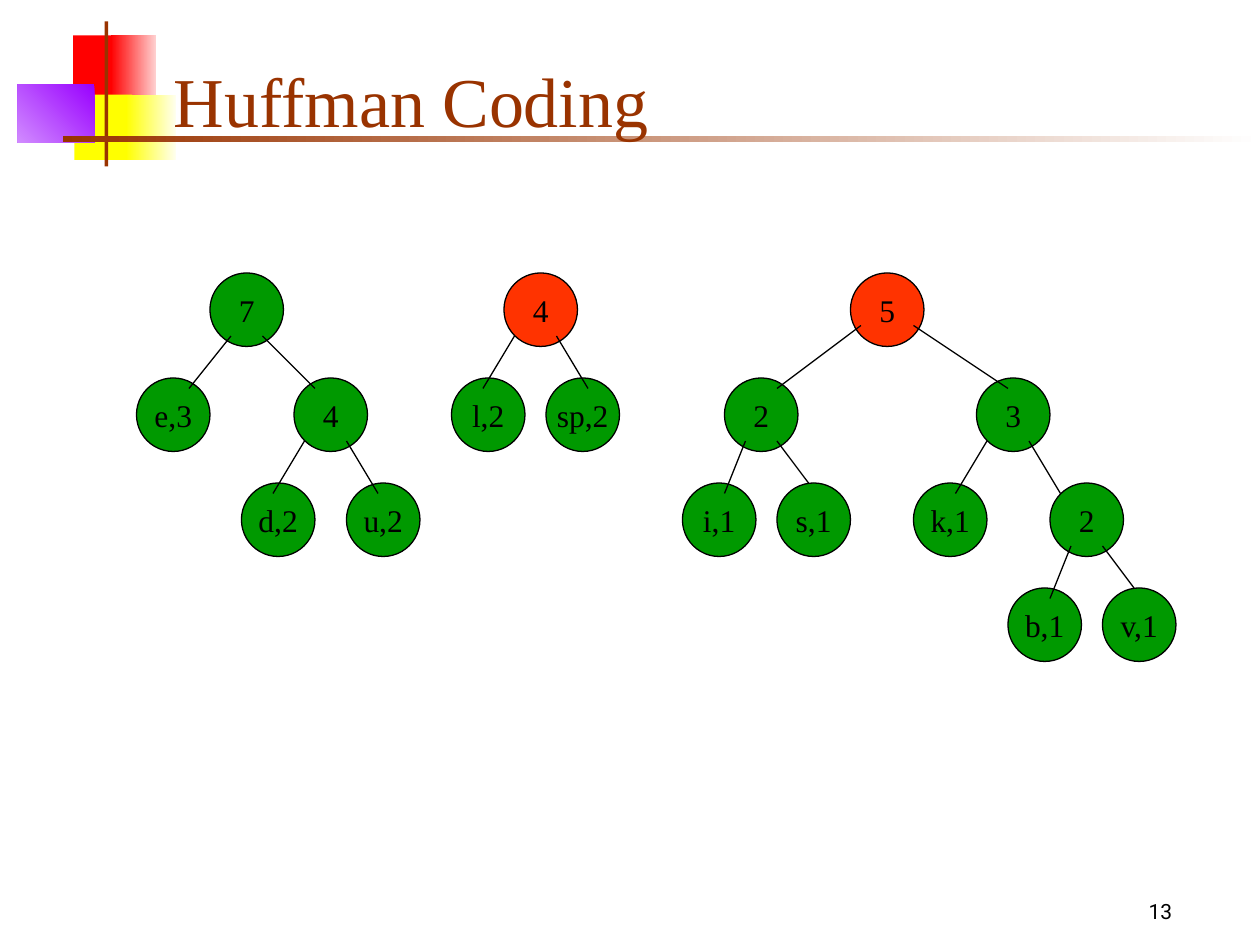
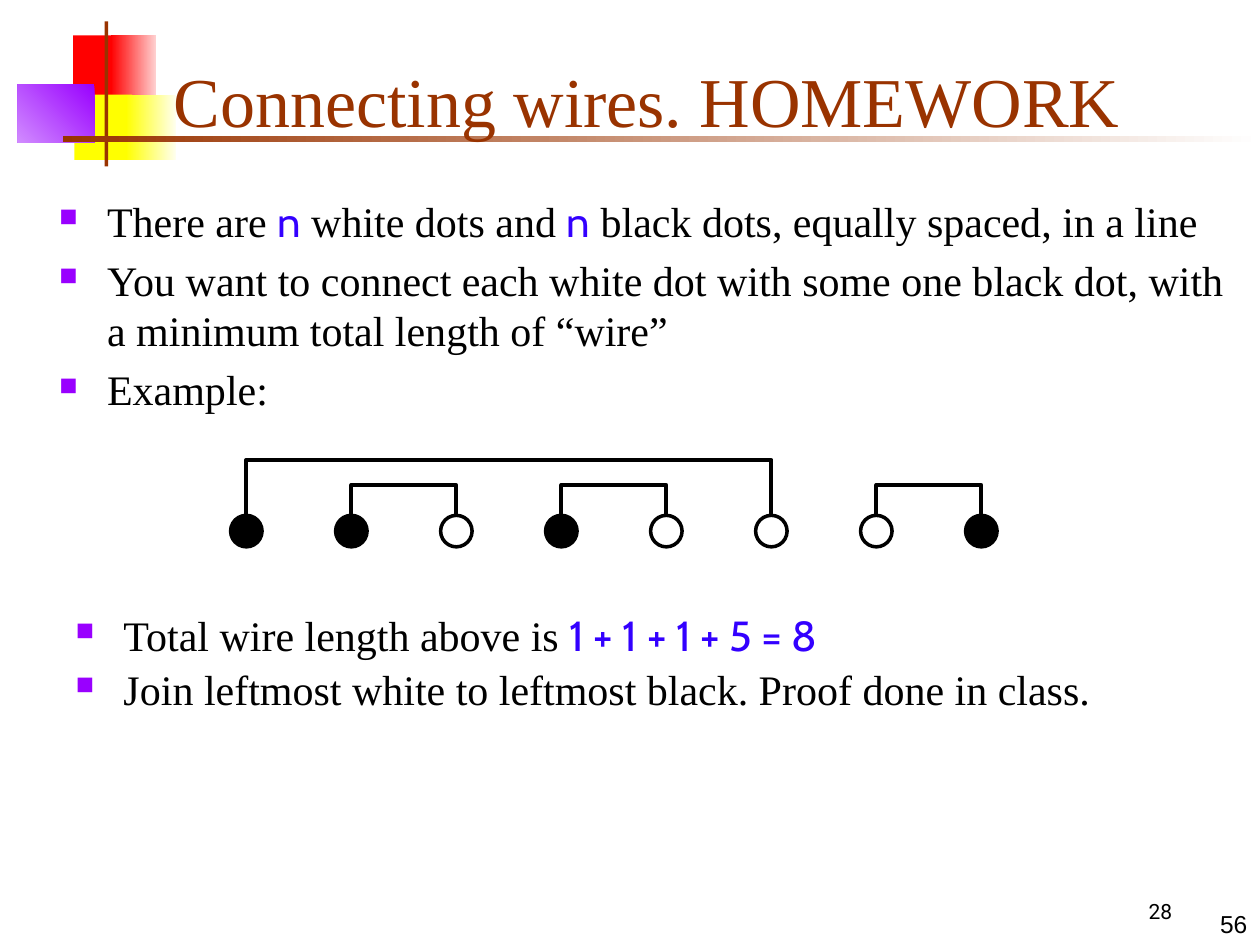
"""Build two algorithm slides: a Huffman forest and a wire-connecting exercise."""
from dataclasses import dataclass

from lxml import etree
from pptx import Presentation, util as u
from pptx.dml.color import RGBColor
from pptx.enum import shapes, text
from pptx.oxml.ns import qn
from pptx.slide import Slide


@dataclass(frozen=True)
class Theme:
    brown: str = "993300"
    purple: str = "9900FF"
    blue: str = "3300FF"
    green: str = "009900"
    orange: str = "FF3300"
    black: str = "000000"
    white: str = "FFFFFF"
    serif: str = "Times New Roman"
    math: str = "Cabin"
    number: str = "Roboto"
    sans: str = "Arial"
    title_pt: float = 40
    body_pt: float = 24
    node_pt: float = 18
    corner_pt: float = 14
    number_pt: float = 12


@dataclass(frozen=True)
class Block:
    left: float
    top: float
    width: float
    height: float
    color: str
    end_color: str = ""
    angle: float = 180


@dataclass(frozen=True)
class Node:
    label: str
    column: int
    level: int
    color: str


@dataclass(frozen=True)
class Edge:
    x1: int
    y1: int
    x2: int
    y2: int


@dataclass(frozen=True)
class Wire:
    first: int
    last: int
    top: float


T = Theme()
MARGIN = u.Inches(0.05)
GRID = 12
NODE_SIZE, FIRST_ROW, ROW_STEP = 7, 26, 10
DOT_SIZE, DOT_TOP, DOT_START, DOT_STEP, WIRE_END = 0.25, 4.09, 1.83, 10 / GRID, 4.08

BLOCKS = [
    Block(0.58, 0.28, 0.35, 0.52, "FF0000"),
    Block(0.88, 0.28, 0.36, 0.52, "FFD1D1", "FF0000"),
    Block(0.59, 0.75, 0.46, 0.52, "FFFF00"),
    Block(1, 0.75, 0.4, 0.52, "FFFFF0", "FFFF00"),
    Block(0.14, 0.67, 0.61, 0.46, T.purple, "D18BFF", 225),
    Block(0.83, 0.17, 0.03, 1.15, T.brown),
    Block(0.5, 1.08, 9.5, 0.05, T.white, T.brown),
]
NODES = [
    Node("7", 20, 0, T.green), Node("e,3", 13, 1, T.green), Node("4", 28, 1, T.green),
    Node("d,2", 23, 2, T.green), Node("u,2", 33, 2, T.green),
    Node("4", 48, 0, T.orange), Node("l,2", 43, 1, T.green), Node("sp,2", 52, 1, T.green),
    Node("5", 81, 0, T.orange), Node("2", 69, 1, T.green), Node("3", 93, 1, T.green),
    Node("i,1", 65, 2, T.green), Node("s,1", 74, 2, T.green),
    Node("k,1", 87, 2, T.green), Node("2", 100, 2, T.green),
    Node("b,1", 96, 3, T.green), Node("v,1", 105, 3, T.green),
]
EDGES = [
    Edge(22, 32, 18, 37), Edge(25, 32, 30, 37), Edge(29, 42, 26, 47), Edge(33, 42, 36, 47),
    Edge(49, 32, 46, 37), Edge(53, 32, 56, 37),
    Edge(82, 31, 74, 37), Edge(87, 31, 96, 37), Edge(71, 42, 69, 47), Edge(74, 42, 77, 46),
    Edge(94, 42, 91, 47), Edge(98, 42, 101, 47), Edge(102, 52, 100, 57), Edge(105, 52, 108, 56),
]
DOTS = [T.black, T.black, T.white, T.black, T.white, T.white, T.white, T.black]
WIRES = [Wire(6, 7, 3.85), Wire(1, 2, 3.85), Wire(3, 4, 3.85), Wire(0, 5, 3.65)]
PROBLEM = [
    [("There are ", False), ("n", True), (" white dots and ", False), ("n", True),
     (" black dots, equally spaced, in a line", False)],
    [("You want to connect each white dot with some one black dot, "
      "with a minimum total length of “wire”", False)],
    [("Example:", False)],
]
ANSWER = [
    [("Total wire length above is ", False), ("1 + 1 + 1 + 5 = 8", True)],
    [("Join leftmost white to leftmost black. Proof done in class.", False)],
]


def rgb(color: str) -> RGBColor:
    return RGBColor.from_string(color)


def write(p, content: str, *, size: float, font: str = T.serif, color: str = T.black,
          align=text.PP_ALIGN.LEFT) -> None:
    p.alignment = align
    r = p.add_run()
    r.text = content
    r.font.size, r.font.name = u.Pt(size), font
    r.font.color.rgb = rgb(color)


def set_frame(tf, anchor=text.MSO_ANCHOR.TOP, wrap: bool = True, margin=MARGIN) -> None:
    tf.margin_left = tf.margin_right = tf.margin_top = tf.margin_bottom = margin
    tf.vertical_anchor, tf.word_wrap = anchor, wrap
    tf.auto_size = text.MSO_AUTO_SIZE.NONE


def add_box(s: Slide, left: float, top: float, width: float, height: float, **frame):
    box = s.shapes.add_textbox(u.Inches(left), u.Inches(top), u.Inches(width), u.Inches(height))
    set_frame(box.text_frame, **frame)
    return box.text_frame


def add_block(s: Slide, block: Block) -> None:
    sp = s.shapes.add_shape(shapes.MSO_SHAPE.RECTANGLE, u.Inches(block.left), u.Inches(block.top),
                            u.Inches(block.width), u.Inches(block.height))
    sp.shadow.inherit = False
    sp.line.fill.background()
    if block.end_color:
        sp.fill.gradient()
        sp.fill.gradient_angle = block.angle
        for stop, color in zip(sp.fill.gradient_stops, (block.color, block.end_color)):
            stop.color.rgb = rgb(color)
    else:
        sp.fill.solid()
        sp.fill.fore_color.rgb = rgb(block.color)


def add_circle(s: Slide, left: float, top: float, size: float, color: str, line_pt: float):
    sp = s.shapes.add_shape(shapes.MSO_SHAPE.OVAL, u.Inches(left), u.Inches(top),
                            u.Inches(size), u.Inches(size))
    sp.shadow.inherit = False
    sp.fill.solid()
    sp.fill.fore_color.rgb = rgb(color)
    sp.line.color.rgb = rgb(T.black)
    sp.line.width = u.Pt(line_pt)
    return sp


def add_node(s: Slide, node: Node) -> None:
    top = (FIRST_ROW + ROW_STEP * node.level) / GRID
    sp = add_circle(s, node.column / GRID, top, NODE_SIZE / GRID, node.color, 0.75)
    set_frame(sp.text_frame, anchor=text.MSO_ANCHOR.MIDDLE, wrap=False, margin=0)
    write(sp.text_frame.paragraphs[0], node.label, size=T.node_pt, align=text.PP_ALIGN.CENTER)


def add_edge(s: Slide, edge: Edge) -> None:
    ends = (u.Inches(n / GRID) for n in (edge.x1, edge.y1, edge.x2, edge.y2))
    line = s.shapes.add_connector(shapes.MSO_CONNECTOR.STRAIGHT, *ends)
    line.line.color.rgb = rgb(T.black)
    line.line.width = u.Pt(0.75)
    etree.SubElement(line._element.spPr, qn("a:effectLst"))


def add_wire(s: Slide, wire: Wire) -> None:
    x1, x2 = (u.Inches(DOT_START + DOT_SIZE / 2 + DOT_STEP * i) for i in (wire.first, wire.last))
    top, end = u.Inches(wire.top), u.Inches(WIRE_END)
    path = s.shapes.build_freeform(x1, end)
    path.add_line_segments([(x1, top), (x2, top), (x2, end)], close=False)
    sp = path.convert_to_shape()
    sp.shadow.inherit = False
    sp.fill.background()
    sp.line.color.rgb = rgb(T.black)
    sp.line.width = u.Pt(2.25)


def set_bullet(p) -> None:
    pPr = p._p.get_or_add_pPr()
    pPr.set("marL", str(u.Inches(0.38)))
    pPr.set("indent", str(u.Inches(-0.38)))
    color = etree.SubElement(pPr, qn("a:buClr"))
    etree.SubElement(color, qn("a:srgbClr"), val=T.purple)
    etree.SubElement(pPr, qn("a:buSzPct"), val="60000")
    etree.SubElement(pPr, qn("a:buChar"), char="■")


def add_bullets(tf, items: list, spacing: float = 1.0) -> None:
    for i, parts in enumerate(items):
        p = tf.add_paragraph() if i else tf.paragraphs[0]
        set_bullet(p)
        p.line_spacing = spacing
        if i:
            p.space_before = u.Pt(5)
        for content, is_math in parts:
            font, color = (T.math, T.blue) if is_math else (T.serif, T.black)
            write(p, content, size=T.body_pt, font=font, color=color)


def add_slide(prs, title: str, number: str) -> Slide:
    s = prs.slides.add_slide(prs.slide_layouts[5])
    for block in BLOCKS:
        add_block(s, block)
    tf = add_box(s, 8.75, 7.08, 0.92, 0.33, wrap=False)
    write(tf.paragraphs[0], number, size=T.number_pt, font=T.number, align=text.PP_ALIGN.CENTER)
    sp = s.shapes.title
    sp.left, sp.top, sp.width, sp.height = map(u.Inches, (1.33, 0.25, 8.52, 0.92))
    set_frame(sp.text_frame, anchor=text.MSO_ANCHOR.BOTTOM)
    write(sp.text_frame.paragraphs[0], title, size=T.title_pt, color=T.brown)
    s.shapes._spTree.append(sp._element)
    return s


def add_huffman(prs) -> None:
    s = add_slide(prs, "Huffman Coding", "13")
    for node in NODES:
        add_node(s, node)
    for edge in EDGES:
        add_edge(s, edge)


def add_wires(prs) -> None:
    s = add_slide(prs, "Connecting wires. HOMEWORK", "28")
    tf = add_box(s, 7.97, 7.17, 1.98, 0.33, anchor=text.MSO_ANCHOR.BOTTOM)
    write(tf.paragraphs[0], "56", size=T.corner_pt, font=T.sans, align=text.PP_ALIGN.RIGHT)
    add_bullets(add_box(s, 0.42, 1.5, 9.38, 2.15), PROBLEM)
    add_bullets(add_box(s, 0.55, 4.83, 8.65, 2.25), ANSWER, spacing=0.9)
    for i, color in enumerate(DOTS):
        add_circle(s, DOT_START + DOT_STEP * i, DOT_TOP, DOT_SIZE, color, 2)
    for wire in WIRES:
        add_wire(s, wire)


def main() -> None:
    prs = Presentation()
    prs.slide_width, prs.slide_height = u.Inches(10), u.Inches(7.5)
    add_huffman(prs)
    add_wires(prs)
    prs.save("out.pptx")


if __name__ == "__main__":
    main()
